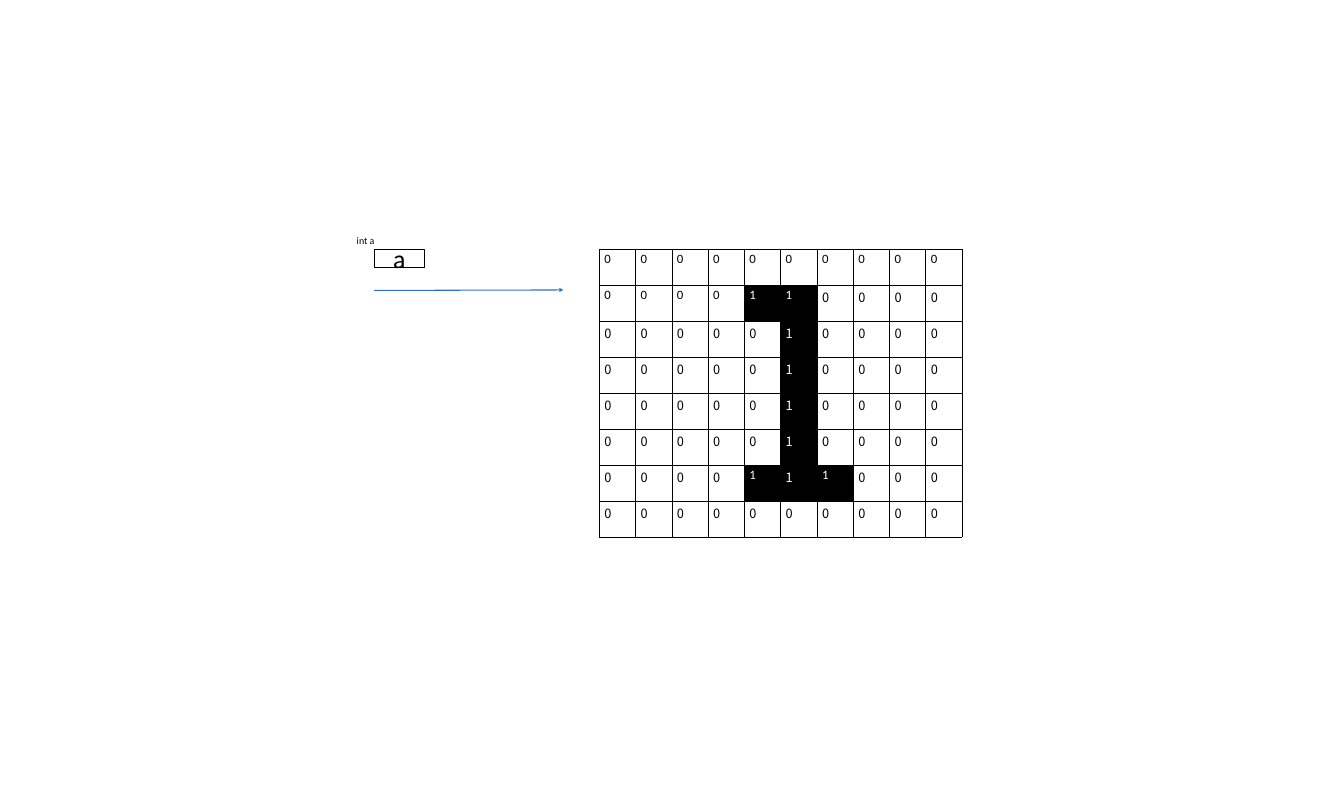
from dataclasses import dataclass

from lxml.etree import SubElement
from pptx import Presentation
from pptx.dml.color import RGBColor
from pptx.enum.shapes import MSO_CONNECTOR, MSO_SHAPE
from pptx.enum.text import MSO_ANCHOR, MSO_AUTO_SIZE, PP_ALIGN
from pptx.oxml.ns import qn
from pptx.util import Inches, Pt


@dataclass(frozen=True)
class Theme:
    black: str = "000000"
    white: str = "FFFFFF"
    blue: str = "2E75B6"
    latin: str = "Calibri"
    wide: str = "Noto Sans CJK KR"
    small: float = 14
    digit: float = 18
    large: float = 36.4
    edge: float = 1
    line: float = 1.5


THEME = Theme()

BITS = (
    "0000000000",
    "0000110000",
    "0000010000",
    "0000010000",
    "0000010000",
    "0000010000",
    "0000111000",
    "0000000000",
)
# Columns set in the Latin font, by row; all others use the wide font.
LATIN = {0: range(10), 1: range(6), 6: (4, 6)}


def box(left, top, width, height):
    return [Inches(n) for n in (left, top, width, height)]


def write(frame, text, size, font=THEME.latin, color=THEME.black):
    run = frame.paragraphs[0].add_run()
    run.text = text
    run.font.size = Pt(size)
    run.font.name = font
    run.font.color.rgb = RGBColor.from_string(color)


def stroke(line, color):
    line.color.rgb = RGBColor.from_string(color)
    line.width = Pt(THEME.line)


def label(shapes, text, area):
    frame = shapes.add_textbox(*box(*area)).text_frame
    frame.word_wrap = True
    frame.auto_size = MSO_AUTO_SIZE.SHAPE_TO_FIT_TEXT
    write(frame, text, THEME.small)


def slot(shapes, text, area):
    """Draw the outlined box of a variable."""
    shape = shapes.add_shape(MSO_SHAPE.RECTANGLE, *box(*area))
    shape.shadow.inherit = False
    shape.fill.background()
    stroke(shape.line, THEME.black)
    frame = shape.text_frame
    frame.word_wrap = True
    frame.vertical_anchor = MSO_ANCHOR.MIDDLE
    frame.paragraphs[0].alignment = PP_ALIGN.CENTER
    write(frame, text, THEME.large)


def arrow(shapes, start, end):
    ends = [Inches(n) for n in (*start, *end)]
    link = shapes.add_connector(MSO_CONNECTOR.STRAIGHT, *ends)
    stroke(link.line, THEME.blue)
    SubElement(link.line._get_or_add_ln(), qn("a:tailEnd"), type="triangle")
    SubElement(link._element.spPr, qn("a:effectLst"))


def frame_cell(cell):
    """Put a border on all four sides; borders must precede the fill."""
    props = cell._tc.get_or_add_tcPr()
    for side in ("lnL", "lnR", "lnT", "lnB"):
        line = SubElement(props, qn(f"a:{side}"), w=str(Pt(THEME.edge)))
        fill = SubElement(line, qn("a:solidFill"))
        SubElement(fill, qn("a:srgbClr"), val=THEME.black)


def bitmap(shapes, area):
    rows, cols = len(BITS), len(BITS[0])
    table = shapes.add_table(rows, cols, *box(*area)).table
    table.first_row = table.horz_banding = False
    for col in table.columns:
        col.width = Inches(area[2] / cols)
    for row in table.rows:
        row.height = Inches(area[3] / rows)
    for y, bits in enumerate(BITS):
        for x, bit in enumerate(bits):
            cell = table.cell(y, x)
            frame_cell(cell)
            color = THEME.black
            if bit == "1":
                cell.fill.solid()
                cell.fill.fore_color.rgb = RGBColor.from_string(THEME.black)
                color = THEME.white
            else:
                cell.fill.background()
            font = THEME.latin if x in LATIN.get(y, ()) else THEME.wide
            write(cell.text_frame, bit, THEME.digit, font, color)


def main():
    deck = Presentation()
    deck.slide_width, deck.slide_height = Inches(26.33), Inches(15.77)
    shapes = deck.slides.add_slide(deck.slide_layouts[6]).shapes
    group = shapes.add_group_shape().shapes
    label(group, "int a", (6.89, 4.54, 1.69, 0.34))
    slot(group, "a", (7.33, 4.88, 0.98, 0.36))
    arrow(shapes, (7.33, 5.69), (11.04, 5.68))
    bitmap(shapes, (11.74, 4.88, 7.11, 5.64))
    deck.save("out.pptx")


if __name__ == "__main__":
    main()
